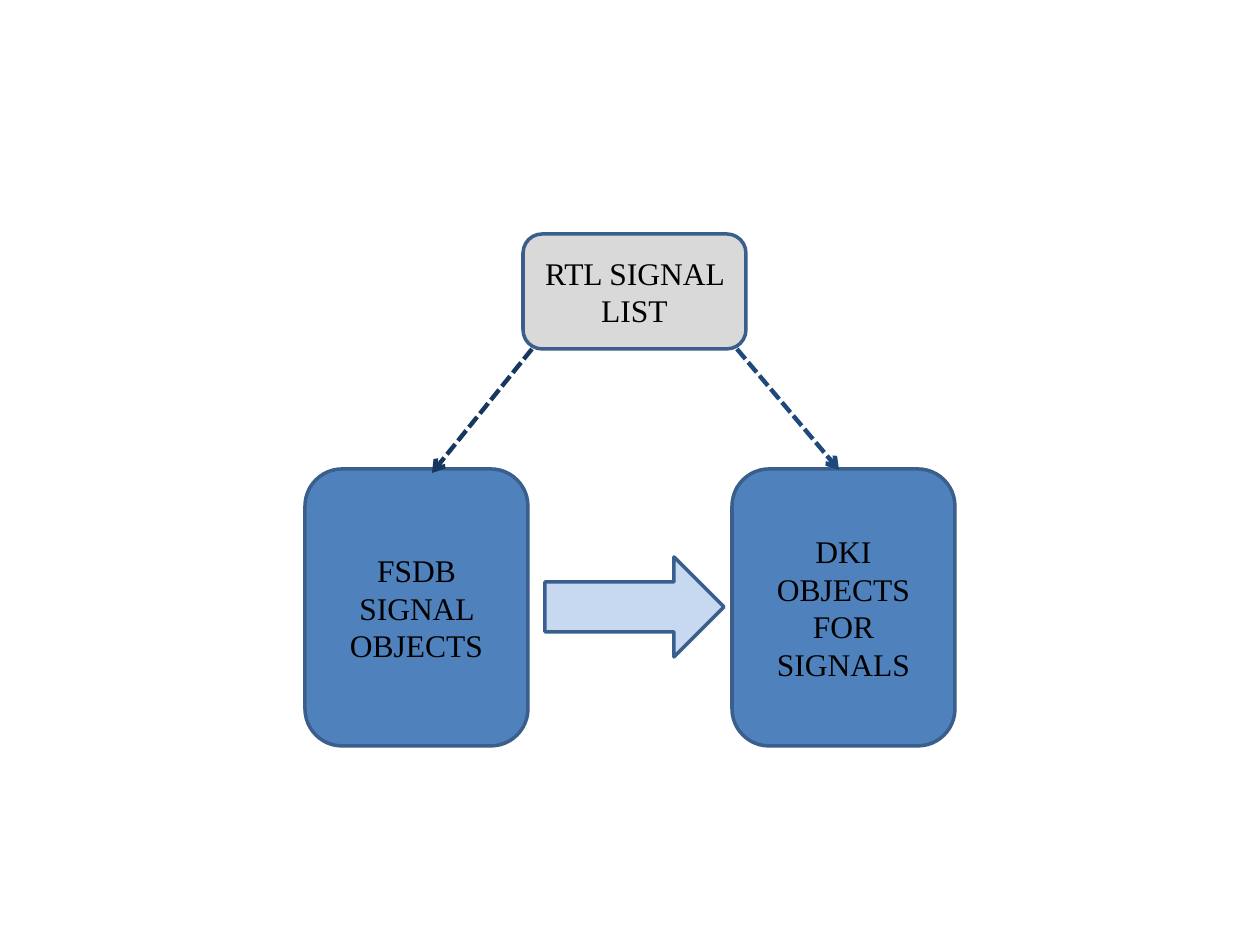
from lxml.etree import SubElement
from pptx import Presentation
from pptx.dml.color import RGBColor
from pptx.enum.dml import MSO_LINE_DASH_STYLE as Dash
from pptx.enum.shapes import MSO_CONNECTOR as Connector, MSO_SHAPE as Shape
from pptx.enum.text import MSO_ANCHOR as Anchor, PP_ALIGN as Align
from pptx.oxml.ns import qn
from pptx.util import Pt

SCALE = 914400 / 126
FONT = "Times New Roman"
COLORS = {
    "outline": "3A5F8C",
    "list": "D9D9D9",
    "objects": "4F81BD",
    "flow": "C6D9F1",
    "left_link": "17375E",
    "right_link": "1F497D",
    "text": "000000",
}


def px(*lengths):
    """Turn pixel lengths into EMU."""
    return [round(length * SCALE) for length in lengths]


def color(name):
    """Look up a named colour."""
    return RGBColor.from_string(COLORS[name])


def add_block(slide, kind, box, fill, text=""):
    """Add an outlined shape, with centred text if any is given."""
    shape = slide.shapes.add_shape(kind, *px(*box))
    shape.shadow.inherit = False
    shape.fill.solid()
    shape.fill.fore_color.rgb = color(fill)
    shape.line.color.rgb = color("outline")
    shape.line.width = Pt(2)
    if text:
        frame = shape.text_frame
        frame.text = text
        frame.word_wrap = True
        frame.vertical_anchor = Anchor.MIDDLE
        paragraph = frame.paragraphs[0]
        paragraph.alignment = Align.CENTER
        font = paragraph.runs[0].font
        font.name, font.size = FONT, Pt(18)
        font.color.rgb = color("text")


def add_link(slide, start, end, line_color):
    """Add a dashed arrow between two points."""
    link = slide.shapes.add_connector(Connector.STRAIGHT, *px(*start, *end))
    link.line.color.rgb = color(line_color)
    link.line.width = Pt(2.5)
    link.line.dash_style = Dash.SQUARE_DOT
    SubElement(link.line._get_or_add_ln(), qn("a:tailEnd"), type="arrow")
    SubElement(link._element.spPr, qn("a:effectLst"))


def add_signal_diagram(slide, left, top, width, height):
    """Place the signal list above two object blocks joined by an arrow."""
    block_width, list_height, objects_height = 223, 115, 277
    right = left + width - block_width
    objects_top = top + height - objects_height
    list_left = left + 218
    list_bottom = top + list_height

    add_block(slide, Shape.ROUNDED_RECTANGLE,
              (list_left, top, block_width, list_height),
              "list", "RTL SIGNAL LIST")
    for block_left, text in ((left, "FSDB SIGNAL OBJECTS"),
                             (right, "DKI OBJECTS FOR SIGNALS")):
        add_block(slide, Shape.ROUNDED_RECTANGLE,
                  (block_left, objects_top, block_width, objects_height),
                  "objects", text)

    add_link(slide, (list_left + 9, list_bottom),
             (left + 127, objects_top + 4), "left_link")
    add_link(slide, (list_left + block_width - 9, list_bottom),
             (right + 107, objects_top + 1), "right_link")
    add_block(slide, Shape.RIGHT_ARROW,
              (left + block_width + 17, objects_top + 88, 179, 100), "flow")


presentation = Presentation()
presentation.slide_width, presentation.slide_height = px(1260, 945)
slide = presentation.slides.add_slide(presentation.slide_layouts[6])
add_signal_diagram(slide, 305, 234, 650, 512)
presentation.save("out.pptx")
